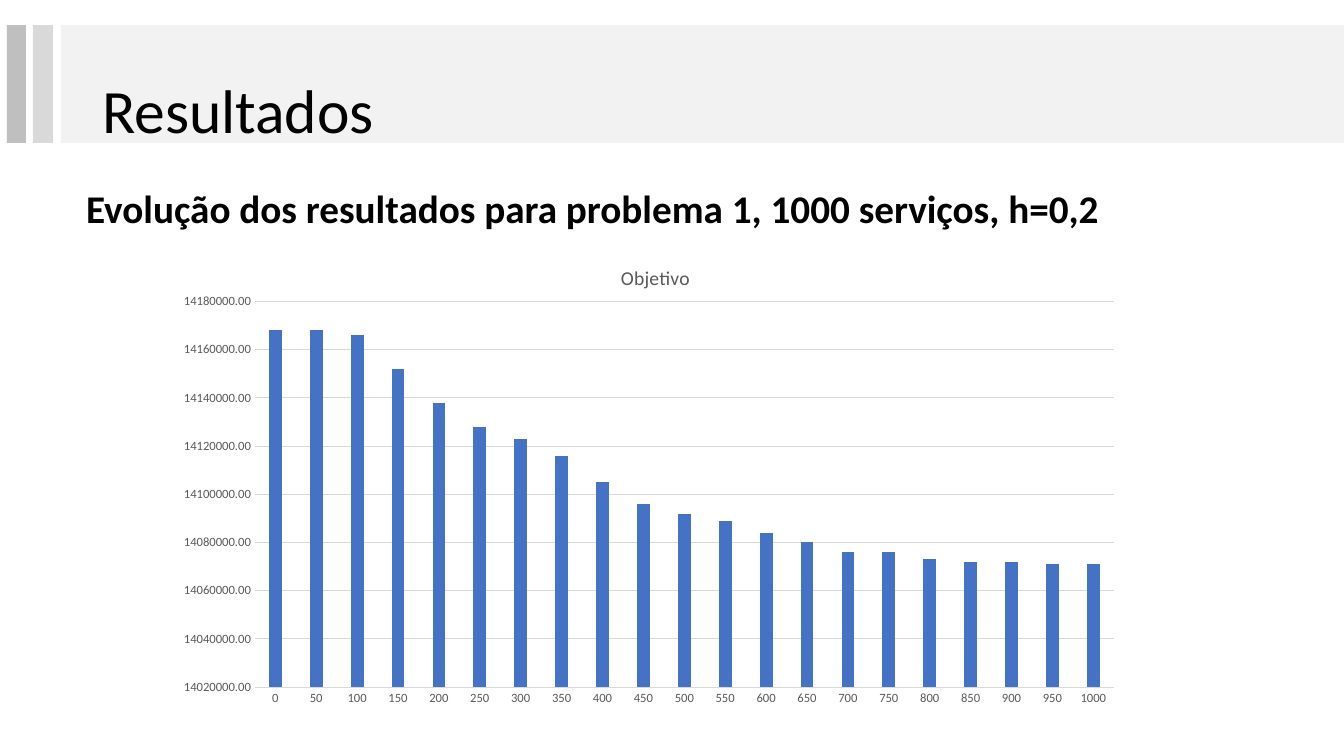
import pptx
import pptx.util
import pptx.chart.data
import pptx.dml.color
import pptx.enum.chart
import pptx.enum.shapes
import pptx.enum.text
import lxml.etree

PX = 914400 / 100.8
FONT = "Calibri"
COLORS = {
    "text": "000000",
    "chart text": "595959",
    "grid": "D9D9D9",
    "bar": "4472C4",
    "wide band": "F2F2F2",
    "middle band": "D9D9D9",
    "edge band": "BFBFBF",
}


def px(*lengths):
    return [pptx.util.Emu(round(length * PX)) for length in lengths]


def write_text(frame, text, size, color="text", bold=False, spacing=None, before=None):
    paragraph = frame.paragraphs[0]
    paragraph.line_spacing = spacing
    paragraph.space_before = before
    run = paragraph.add_run()
    run.text = text
    run.font.name = FONT
    run.font.size = pptx.util.Pt(size)
    run.font.bold = bold
    run.font.color.rgb = pptx.dml.color.RGBColor.from_string(COLORS[color])
    return paragraph


presentation = pptx.Presentation()
presentation.slide_width, presentation.slide_height = px(1344, 756)
slide = presentation.slides.add_slide(presentation.slide_layouts[1])
heading, subtitle = slide.placeholders

header = slide.shapes.add_group_shape()
for band, left, width in [("wide band", 61, 1283), ("middle band", 33, 20), ("edge band", 7, 19)]:
    stripe = header.shapes.add_shape(
        pptx.enum.shapes.MSO_SHAPE.RECTANGLE, *px(left, 25, width, 118))
    stripe.shadow.inherit = False
    stripe.fill.solid()
    stripe.fill.fore_color.rgb = pptx.dml.color.RGBColor.from_string(COLORS[band])
    stripe.line.fill.background()

slide.shapes._spTree.append(heading._element)
heading.left, heading.top, heading.width, heading.height = px(92, 41, 1159, 146)
heading.text_frame.auto_size = pptx.enum.text.MSO_AUTO_SIZE.NONE
heading.text_frame.vertical_anchor = pptx.enum.text.MSO_ANCHOR.MIDDLE
title_line = write_text(heading.text_frame, "Resultados", 44, spacing=0.9)
title_line.alignment = pptx.enum.text.PP_ALIGN.LEFT

objective_thousands = [
    14168, 14168, 14166, 14152, 14138, 14128, 14123, 14116, 14105, 14096, 14092,
    14089, 14084, 14080, 14076, 14076, 14073, 14072, 14072, 14071, 14071,
]
evolution = pptx.chart.data.CategoryChartData(number_format="0.00")
evolution.categories = [str(50 * step) for step in range(len(objective_thousands))]
evolution.add_series("Objetivo", [1000 * thousands for thousands in objective_thousands])
chart = slide.shapes.add_chart(
    pptx.enum.chart.XL_CHART_TYPE.COLUMN_CLUSTERED, *px(174, 246, 963, 470), evolution).chart
chart.has_legend = False
chart.font.name = FONT
chart.font.size = pptx.util.Pt(10)
chart.has_title = True
write_text(chart.chart_title.text_frame, "Objetivo", 14, "chart text")
chart.chart_title.include_in_layout = False

bars = chart.plots[0]
bars.gap_width = 219
bars.overlap = -27
bars.vary_by_categories = False
bars.series[0].format.fill.solid()
bars.series[0].format.fill.fore_color.rgb = pptx.dml.color.RGBColor.from_string(COLORS["bar"])

steps, values = chart.category_axis, chart.value_axis
for axis in (steps, values):
    axis.major_tick_mark = pptx.enum.chart.XL_TICK_MARK.NONE
    axis.minor_tick_mark = pptx.enum.chart.XL_TICK_MARK.NONE
    axis.tick_labels.font.name = FONT
    axis.tick_labels.font.size = pptx.util.Pt(9)
    axis.tick_labels.font.color.rgb = pptx.dml.color.RGBColor.from_string(COLORS["chart text"])
for rule in (steps.format.line, values.major_gridlines.format.line):
    rule.width = pptx.util.Pt(0.75)
    rule.color.rgb = pptx.dml.color.RGBColor.from_string(COLORS["grid"])
values.format.line.fill.background()
values.minimum_scale, values.maximum_scale, values.major_unit = 14020000, 14180000, 20000
values.tick_labels.number_format = "0.00"
values.tick_labels.number_format_is_linked = False

plot_area = chart._chartSpace.chart.plotArea
for previous in plot_area.findall(pptx.oxml.ns.qn("c:layout")):
    plot_area.remove(previous)
layout = lxml.etree.Element(pptx.oxml.ns.qn("c:layout"))
plot_area.insert(0, layout)
manual = lxml.etree.SubElement(layout, pptx.oxml.ns.qn("c:manualLayout"))
for tag, setting in [("layoutTarget", "inner"), ("xMode", "edge"), ("yMode", "edge"),
                     ("x", "0.084"), ("y", "0.118"), ("w", "0.892"), ("h", "0.821")]:
    lxml.etree.SubElement(manual, pptx.oxml.ns.qn("c:" + tag), val=setting)

slide.shapes._spTree.append(subtitle._element)
subtitle.left, subtitle.top, subtitle.width, subtitle.height = px(76, 185, 1159, 480)
subtitle.text_frame.auto_size = pptx.enum.text.MSO_AUTO_SIZE.NONE
subtitle_line = write_text(
    subtitle.text_frame, "Evolução dos resultados para problema 1, 1000 serviços, h=0,2",
    28, bold=True, spacing=0.9, before=pptx.util.Pt(10))
bullet = subtitle_line._p.get_or_add_pPr()
bullet.set("marL", "0")
bullet.set("indent", "0")
lxml.etree.SubElement(bullet, pptx.oxml.ns.qn("a:buNone"))

presentation.save("out.pptx")
